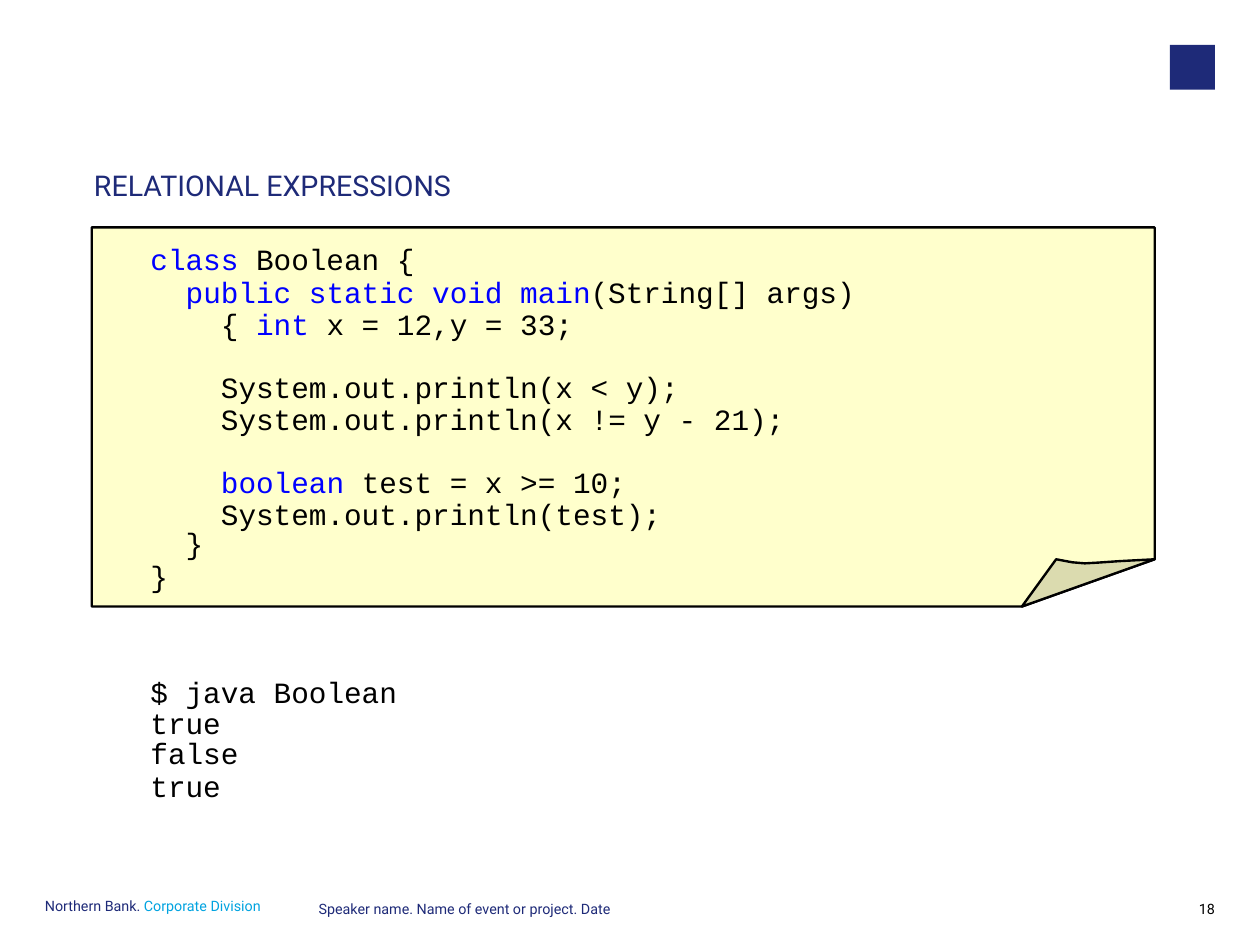
from pptx import Presentation
from pptx.dml.color import RGBColor
from pptx.enum import shapes, text
from pptx.util import Pt

COLORS = {
    "navy": "1E2A78",
    "cyan": "00A3E0",
    "black": "000000",
    "keyword": "0000FF",
    "paper": "FFFFCC",
    "fold": "DBDBAF",
}
INDENT = 22.2
LINE = 19.9

CODE = [
    (0, 0, 21.1, [("class ", "keyword"), ("Boolean {", "black")]),
    (1, 1.4, LINE, [("public static void main", "keyword"), ("(String[] args)", "black")]),
    (2, 0, LINE, [("{ ", "black"), ("int ", "keyword"), ("x = 12,y = 33;", "black")]),
    (2, LINE, LINE, [("System.out.println(x < y);", "black")]),
    (2, 0, LINE, [("System.out.println(x != y - 21);", "black")]),
    (2, LINE, LINE, [("boolean ", "keyword"), ("test = x >= 10;", "black")]),
    (2, 0, LINE, [("System.out.println(test);", "black")]),
    (1, 0, 18.4, [("}", "black")]),
    (0, 0, 21.1, [("}", "black")]),
]
OUTPUT = [
    (0, 0, LINE, [("$ java Boolean", "black")]),
    (0, 0, LINE, [("true", "black")]),
    (0, 0, 18.4, [("false", "black")]),
    (0, 0, 21.1, [("true", "black")]),
]
SHEET = [(727.4, 352.3), (727.4, 143.3), (57.8, 143.3), (57.8, 382.1), (643.7, 382.1)]
FOLD = [(727.4, 352.3), (705, 353.5), (691.9, 354.4), (683.3, 354.9),
        (675.4, 354.2), (665.3, 352.3), (643.7, 382.1)]


def color(name):
    """Return the named colour."""
    return RGBColor.from_string(COLORS[name])


def add_text(page, lines, left, top, width, height, font="Roboto", size=9,
             align=text.PP_ALIGN.LEFT):
    """Add a box of lines, each given as level, space before, spacing and spans."""
    box = page.shapes.add_textbox(Pt(left), Pt(top), Pt(width), Pt(height))
    frame = box.text_frame
    frame.word_wrap = True
    frame.margin_left = frame.margin_top = frame.margin_right = frame.margin_bottom = 0
    for index, (level, before, spacing, spans) in enumerate(lines):
        para = frame.add_paragraph() if index else frame.paragraphs[0]
        if level:
            para._p.get_or_add_pPr().set("marL", str(Pt(level * INDENT)))
        para.alignment = align
        para.space_before = Pt(before)
        para.line_spacing = Pt(spacing)
        for words, ink in spans:
            span = para.add_run()
            span.text = words
            span.font.name = font
            span.font.size = Pt(size)
            span.font.color.rgb = color(ink)


def add_outline(page, points, fill):
    """Add a closed, outlined polygon."""
    corners = [(Pt(x), Pt(y)) for x, y in points]
    builder = page.shapes.build_freeform(*corners[0])
    builder.add_line_segments(corners[1:], close=True)
    shape = builder.convert_to_shape()
    shape.shadow.inherit = False
    shape.fill.solid()
    shape.fill.fore_color.rgb = color(fill)
    shape.line.color.rgb = color("black")
    shape.line.width = Pt(1.5)


def add_square(page, left, top, side, fill):
    """Add a plain square."""
    square = page.shapes.add_shape(
        shapes.MSO_SHAPE.RECTANGLE, Pt(left), Pt(top), Pt(side), Pt(side))
    square.shadow.inherit = False
    square.fill.solid()
    square.fill.fore_color.rgb = color(fill)
    square.line.fill.background()


def main():
    """Build and save the slide."""
    deck = Presentation()
    deck.slide_width, deck.slide_height = Pt(793.7), Pt(595.28)
    page = deck.slides.add_slide(deck.slide_layouts[6])

    add_square(page, 737, 28.3, 28.3, "navy")
    add_outline(page, SHEET, "paper")
    add_outline(page, FOLD, "fold")

    title = [(0, 0, 19, [("RELATIONAL EXPRESSIONS", "navy")])]
    add_text(page, title, 59.2, 108.2, 682, 44, size=18)
    add_text(page, CODE, 94.8, 152.8, 465, 222, font="Courier New", size=18.5)
    add_text(page, OUTPUT, 94.8, 426.8, 465, 80, font="Courier New", size=18.5)

    division = [("Northern Bank. ", "navy"), ("Corporate Division", "cyan")]
    speaker = [("Speaker name. Name of event or project. Date", "navy")]
    number = [("18", "black")]
    add_text(page, [(0, 0, 9, division)], 28.3, 566.8, 158, 14.4)
    add_text(page, [(0, 0, 9, speaker)], 200.7, 568.6, 389, 14.4)
    add_text(page, [(0, 0, 9, number)], 737, 568.6, 28.3, 14.4,
             align=text.PP_ALIGN.RIGHT)

    deck.save("out.pptx")


if __name__ == "__main__":
    main()
